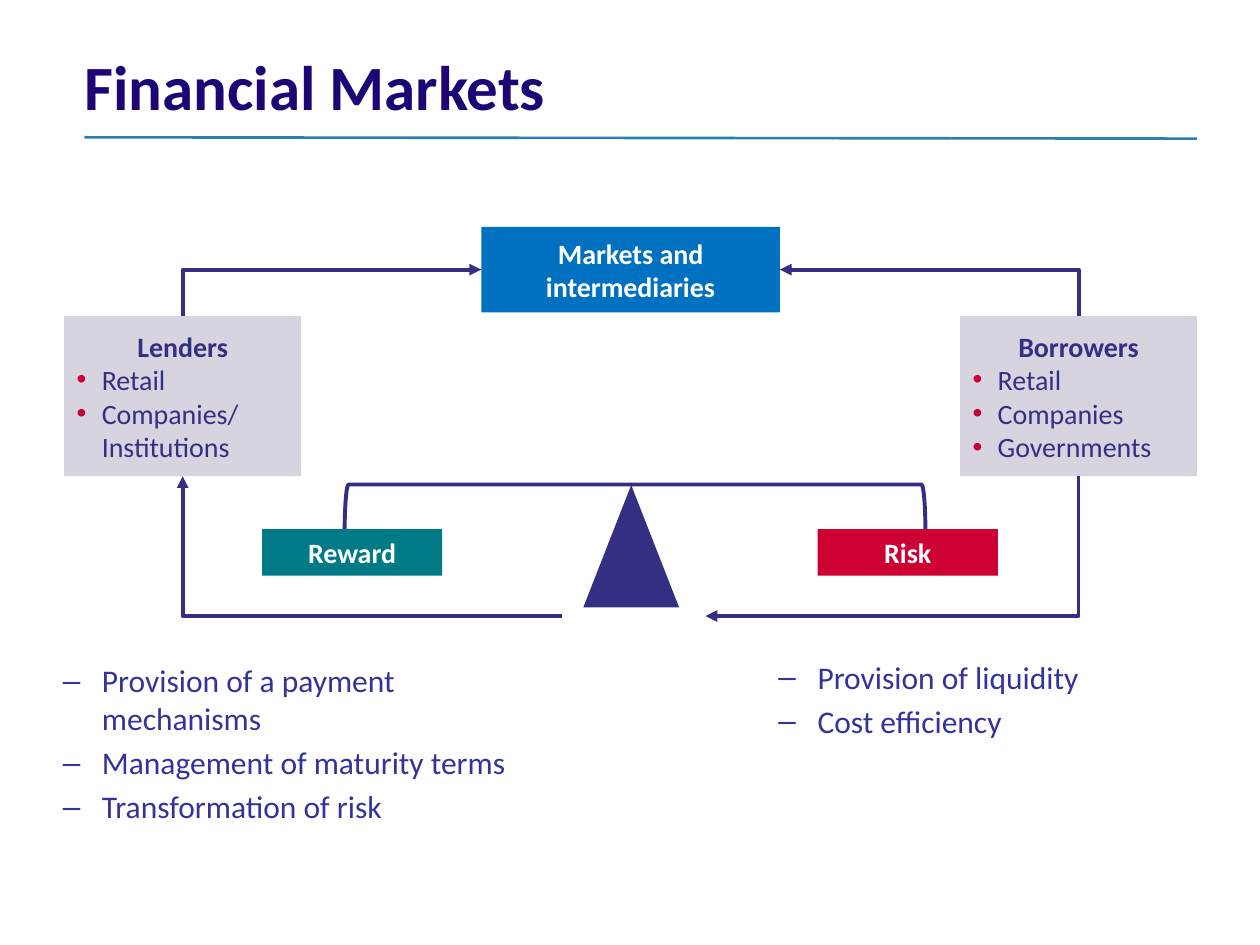
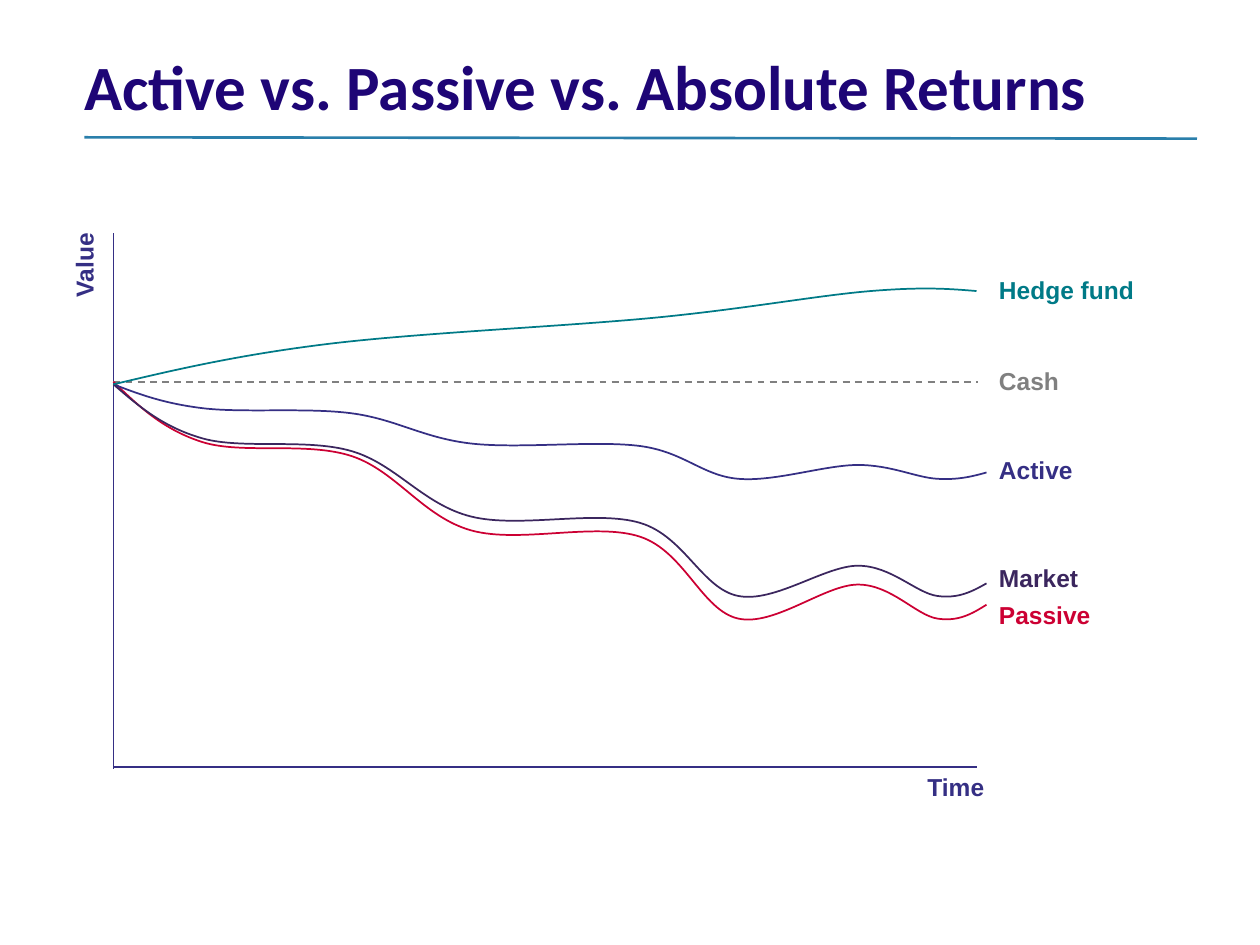
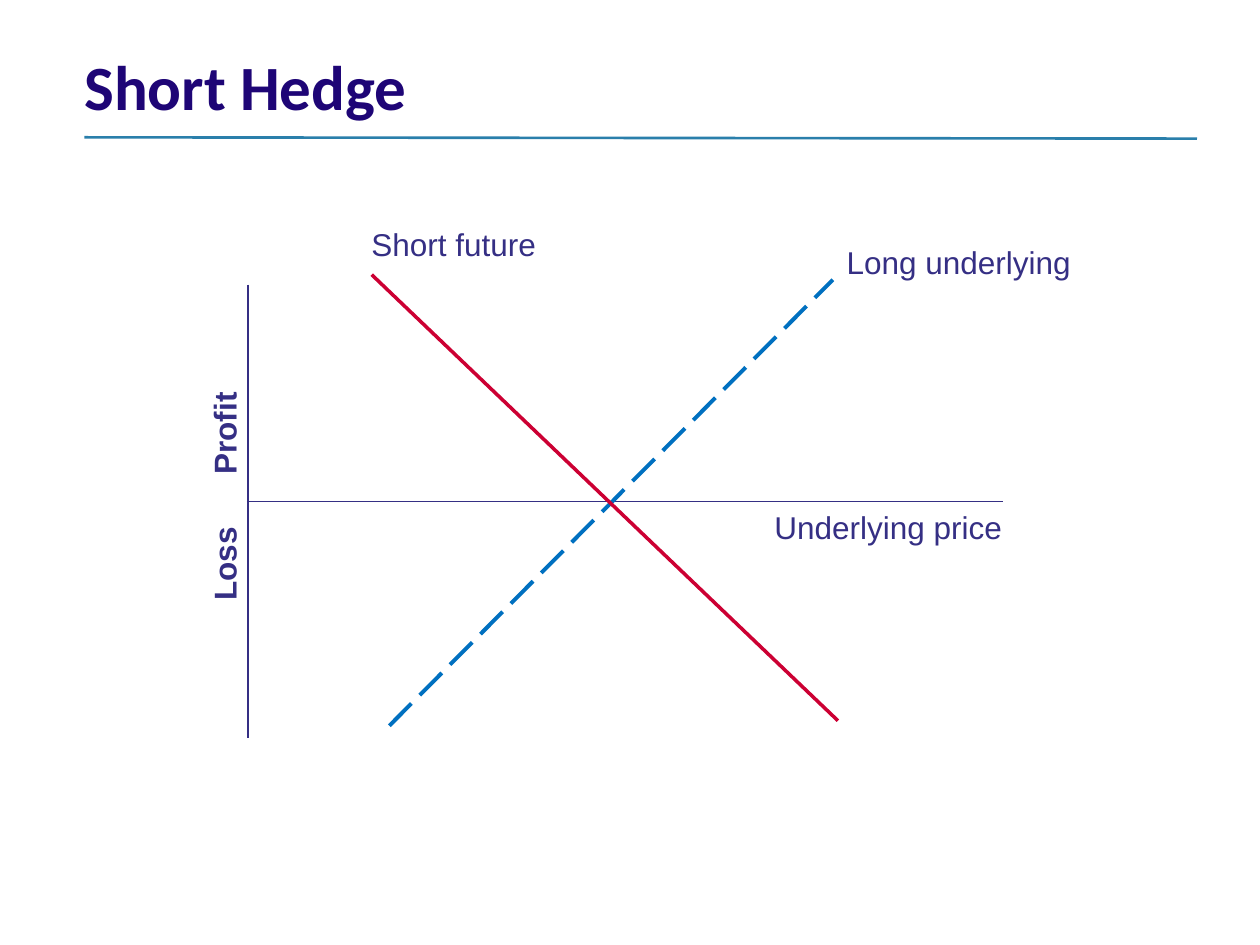
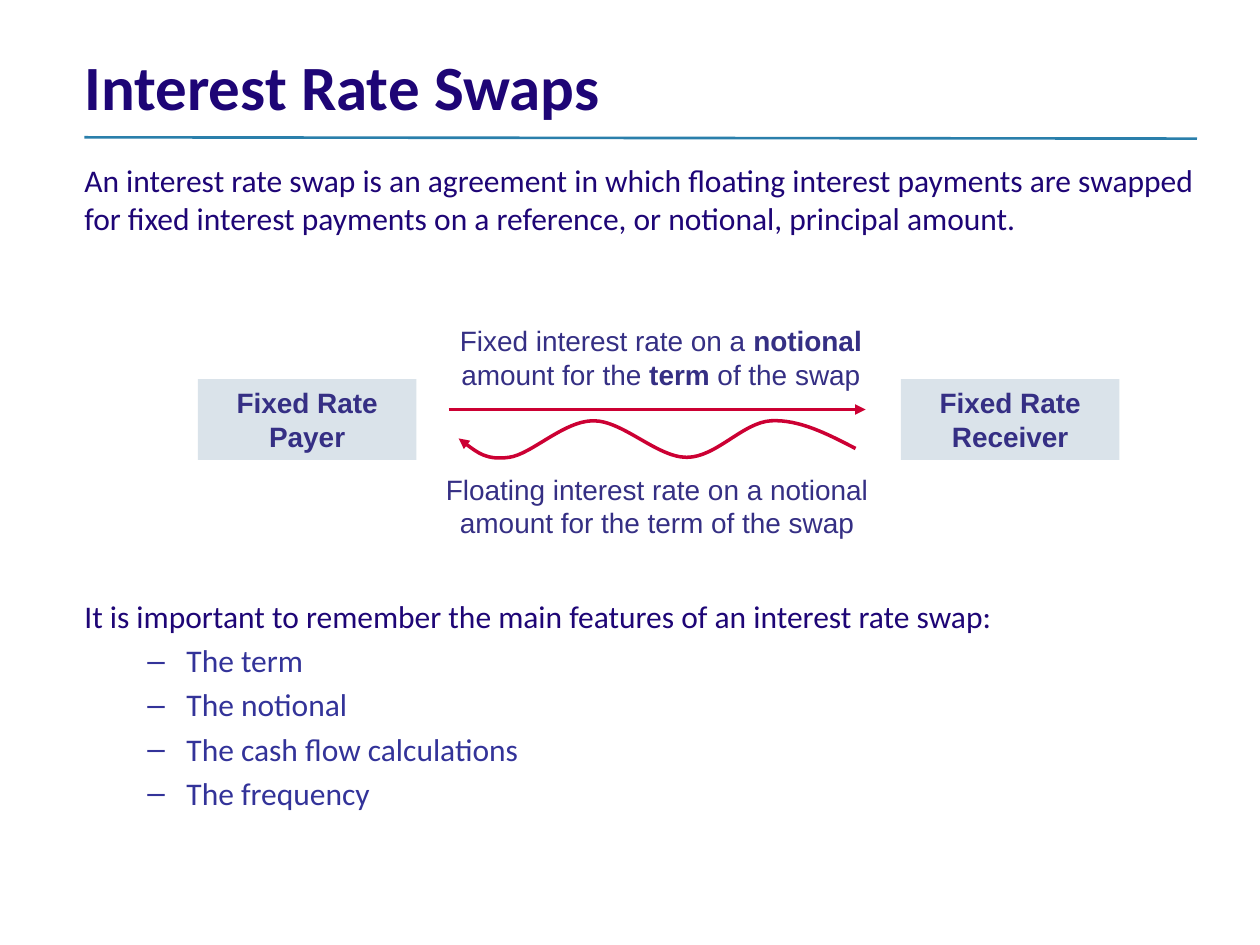
from lxml import etree
from pptx import Presentation
from pptx.dml.color import RGBColor
from pptx.enum.dml import MSO_LINE
from pptx.enum.shapes import MSO_CONNECTOR, MSO_SHAPE
from pptx.enum.text import MSO_ANCHOR, PP_ALIGN
from pptx.oxml.ns import qn
from pptx.util import Inches, Pt

LEFT, CENTER, RIGHT = PP_ALIGN.LEFT, PP_ALIGN.CENTER, PP_ALIGN.RIGHT
MIDDLE = MSO_ANCHOR.MIDDLE
STRAIGHT, ELBOW = MSO_CONNECTOR.STRAIGHT, MSO_CONNECTOR.ELBOW
RECTANGLE, TRIANGLE = MSO_SHAPE.RECTANGLE, MSO_SHAPE.ISOSCELES_TRIANGLE
BRACKET = MSO_SHAPE.RIGHT_BRACKET
DASH, LONG_DASH = MSO_LINE.DASH, MSO_LINE.LONG_DASH
TOP_SITE, LEFT_SITE, BOTTOM_SITE, RIGHT_SITE = range(4)
HEAD, TAIL = "a:headEnd", "a:tailEnd"

NAVY, INDIGO, VIOLET, PLUM = "1E0576", "352F84", "333399", "3B265E"
RED, TEAL, BLUE, GRAY, WHITE = "CC0033", "007A87", "0070C0", "808080", "FFFFFF"
LILAC, MIST, RULE = "D8D4DF", "DAE3EA", "2A7FAB"
CALIBRI, ARIAL = "Calibri", "Arial"

GRID_COLUMNS, GRID_ROWS = 100, 75
CELL = Inches(0.1)
MARGIN = 6.7
DOT_BULLET = ("•", 2, 2, RED)
DOT_CONTINUED = ("", 2, 0, RED)
DASH_BULLET = ("–", 8.1, 3.1, VIOLET)


def cells(*counts):
    """Turn counts of grid cells into lengths."""
    return [round(count * CELL) for count in counts]


def color(value):
    """Turn a hex string into a colour."""
    return RGBColor.from_string(value)


def smooth_controls(points):
    """List the Bezier vertices of a smooth curve through the points."""
    def shifted(index, sign):
        before, here, after = points[index - 1:index + 2]
        return tuple(h + sign * (a - b) / 6 for b, h, a in zip(before, here, after))

    def midpoint(first, second):
        return tuple((a + b) / 2 for a, b in zip(first, second))

    last = len(points) - 1
    vertices = []
    for index in range(last):
        if index == 0:
            incoming = shifted(1, -1)
            outgoing = midpoint(points[0], incoming)
        else:
            outgoing = shifted(index, 1)
            incoming = (midpoint(outgoing, points[last]) if index + 1 == last
                        else shifted(index + 1, -1))
        vertices += [outgoing, incoming, points[index + 1]]
    return vertices


class Deck:
    """Holds the shared style and the current slide."""

    def __init__(self):
        """Start an empty presentation on the grid."""
        self.presentation = Presentation()
        self.presentation.slide_width = GRID_COLUMNS * CELL
        self.presentation.slide_height = GRID_ROWS * CELL
        self.layout = self.presentation.slide_layouts[5]
        self.slide = None

    def add_slide(self, heading):
        """Add a slide with a title, and put the rule on the layout once."""
        is_first = self.slide is None
        self.slide = self.presentation.slides.add_slide(self.layout)
        title = self.slide.shapes.title
        title.left, title.top, title.width, title.height = cells(MARGIN, 2.8, 88.2, 7.9)
        title.text_frame.vertical_anchor = MIDDLE
        self.clear_margins(title)
        self.add_text(title, heading, 36, NAVY, CALIBRI, bold=True)
        if is_first:
            rule = self.line((MARGIN, 10.9), (95, 11), RULE, 1.5)
            rule.element.xpath(".//p:cNvPr")[0].set("id", "20")
            self.layout.shapes.element.append(rule.element)

    def clear_margins(self, shape):
        """Remove the inner margins of a text shape."""
        frame = shape.text_frame
        frame.margin_left = frame.margin_right = frame.margin_top = frame.margin_bottom = 0

    def add_text(self, shape, text, size, ink, font, bold=False, align=LEFT, gap=0, bullet=None):
        """Add one paragraph, with bold parts between asterisks."""
        frame = shape.text_frame
        frame.word_wrap = True
        paragraph = frame.paragraphs[0]
        if paragraph.text:
            paragraph = frame.add_paragraph()
            paragraph.space_before = Pt(gap)
        for index, part in enumerate(text.split("*")):
            run = paragraph.add_run()
            run.text = part
            if index % 2:
                run.font.bold = True
        paragraph.alignment = align
        if bullet:
            self.add_bullet(paragraph, *bullet)
        paragraph.font.name = font
        paragraph.font.size = Pt(size)
        paragraph.font.bold = bold
        paragraph.font.color.rgb = color(ink)

    def add_bullet(self, paragraph, mark, indent, hang, ink):
        """Indent a paragraph and hang a bullet before it."""
        properties = paragraph._p.get_or_add_pPr()
        indent, hang = cells(indent, hang)
        properties.set("marL", str(indent))
        properties.set("indent", str(-hang))
        if mark:
            fill = etree.SubElement(properties, qn("a:buClr"))
            etree.SubElement(fill, qn("a:srgbClr")).set("val", ink)
            etree.SubElement(properties, qn("a:buFont")).set("typeface", ARIAL)
            etree.SubElement(properties, qn("a:buChar")).set("char", mark)

    def stroke(self, shape, ink, weight, dash=None, arrow=None):
        """Format an outline and its arrowhead."""
        shape.line.color.rgb = color(ink)
        shape.line.width = Pt(weight)
        if dash:
            shape.line.dash_style = dash
        if arrow:
            outline = shape.element.xpath("./p:spPr/a:ln")[0]
            etree.SubElement(outline, qn(arrow)).set("type", "triangle")

    def connector(self, kind, start, finish, *style):
        """Add a connector without a shadow."""
        connector = self.slide.shapes.add_connector(kind, *cells(*start, *finish))
        self.stroke(connector, *style)
        etree.SubElement(connector.element.xpath("./p:spPr")[0], qn("a:effectLst"))
        return connector

    def line(self, start, finish, ink, weight, dash=None, arrow=None):
        """Add a straight line."""
        return self.connector(STRAIGHT, start, finish, ink, weight, dash, arrow)

    def elbow(self, start, box, site, arrow, source=None):
        """Run a line sideways, then up or down to a site of a box."""
        connector = self.connector(ELBOW, start, start, INDIGO, 2.25, None, arrow)
        connector.element.xpath(".//a:prstGeom")[0].set("prst", "bentConnector2")
        if source:
            connector.begin_connect(*source)
        connector.end_connect(box, site)

    def curve(self, points, ink, weight, arrow=None):
        """Add a smooth open curve through the points."""
        builder = self.slide.shapes.build_freeform(*cells(*points[0]))
        vertices = [cells(*vertex) for vertex in smooth_controls(points)]
        builder.add_line_segments(vertices, close=False)
        shape = builder.convert_to_shape()
        outline = shape.element.xpath(".//a:path")[0]
        segments = outline.findall(qn("a:lnTo"))
        for index in range(0, len(segments), 3):
            bezier = etree.SubElement(outline, qn("a:cubicBezTo"))
            for segment in segments[index:index + 3]:
                bezier.append(segment[0])
                outline.remove(segment)
        shape.fill.background()
        shape.shadow.inherit = False
        self.stroke(shape, ink, weight, None, arrow)

    def shape(self, kind, place, fill=None):
        """Add a preset shape, filled or empty, with no outline."""
        shape = self.slide.shapes.add_shape(kind, *cells(*place))
        shape.shadow.inherit = False
        shape.line.fill.background()
        if fill:
            shape.fill.solid()
            shape.fill.fore_color.rgb = color(fill)
        else:
            shape.fill.background()
        return shape

    def box(self, place, fill, text, ink, font):
        """Add a filled box with a bold centred heading."""
        box = self.shape(RECTANGLE, place, fill)
        box.text_frame.vertical_anchor = MIDDLE
        self.add_text(box, text, 16, ink, font, bold=True, align=CENTER)
        return box

    def text_box(self, place, rotation=0):
        """Add an empty text box."""
        text_box = self.slide.shapes.add_textbox(*cells(*place))
        text_box.rotation = rotation
        return text_box

    def label(self, place, text, size, ink=INDIGO, bold=False, align=LEFT, rotation=0):
        """Add a label of one paragraph."""
        text_box = self.text_box(place, rotation)
        self.add_text(text_box, text, size, ink, ARIAL, bold, align)

    def dashed_list(self, text_box, items):
        """Add dashed items to a text box."""
        for item in items:
            self.add_text(text_box, item, 18, VIOLET, CALIBRI, gap=3.6, bullet=DASH_BULLET)


def add_markets(deck):
    """Show how money flows between lenders and borrowers."""
    deck.add_slide("Financial Markets")
    services = deck.text_box((0, 52.5, 44.3, 13.4))
    deck.clear_margins(services)
    deck.dashed_list(services, ("Provision of a payment mechanisms",
                                "Management of maturity terms", "Transformation of risk"))
    deck.dashed_list(deck.text_box((55.8, 51.7, 44.2, 12.7)),
                     ("Provision of liquidity", "Cost efficiency"))

    beam = deck.shape(BRACKET, (48.5, 17.3, 3.8, 46.1))
    beam.rotation = 270
    deck.stroke(beam, INDIGO, 2.25)
    deck.shape(TRIANGLE, (46.3, 38.5, 7.6, 9.7), INDIGO)
    for left, text, fill in ((20.8, "Reward", TEAL), (64.9, "Risk", RED)):
        deck.box((left, 42, 14.3, 3.7), fill, text, WHITE, CALIBRI)

    markets = deck.box((38.2, 18, 23.7, 6.8), BLUE, "Markets and intermediaries", WHITE, CALIBRI)
    parties = []
    for left, heading, items in (
        (5.1, "Lenders", (("Retail", DOT_BULLET), ("Companies/", DOT_BULLET),
                          ("Institutions", DOT_CONTINUED))),
        (76.2, "Borrowers", (("Retail", DOT_BULLET), ("Companies", DOT_BULLET),
                             ("Governments", DOT_BULLET))),
    ):
        party = deck.box((left, 25.1, 18.8, 12.7), LILAC, heading, INDIGO, CALIBRI)
        for item, bullet in items:
            deck.add_text(party, item, 16, INDIGO, CALIBRI, bullet=bullet)
        parties.append(party)
    lenders, borrowers = parties

    deck.elbow((38.2, 21.4), lenders, TOP_SITE, HEAD, (markets, LEFT_SITE))
    deck.elbow((61.9, 21.4), borrowers, TOP_SITE, HEAD, (markets, RIGHT_SITE))
    deck.elbow((44.6, 48.9), lenders, BOTTOM_SITE, TAIL)
    deck.elbow((56, 48.9), borrowers, BOTTOM_SITE, HEAD)


def add_returns(deck):
    """Compare the value of investments over time."""
    deck.add_slide("Active vs. Passive vs. Absolute Returns")
    deck.line((9, 18.5), (9, 61), INDIGO, 1)
    deck.line((9, 60.9), (77.5, 60.9), INDIGO, 1)
    deck.line((9, 30.3), (77.6, 30.3), GRAY, 1, DASH)

    times = (9, 16.1, 27.9, 37.4, 50.8, 58.6, 68.1, 74.4, 78.3)
    for heights, ink in (
        ((30.3, 35.1, 36.2, 42.1, 42.6, 49.1, 46.4, 49.1, 48), RED),
        ((30.5, 32.4, 32.8, 35.2, 35.4, 38, 36.9, 38, 37.5), INDIGO),
        ((30.5, 34.8, 35.8, 41, 41.5, 47.3, 44.9, 47.3, 46.3), PLUM),
    ):
        deck.curve(list(zip(times, heights)), ink, 1)
    deck.curve([(9, 30.5), (26, 27.3), (52.1, 25.2), (69.1, 23.1), (77.5, 23.1)], TEAL, 1)

    for top, text, ink in ((21.3, "Hedge fund", TEAL), (28.6, "Cash", GRAY),
                           (35.6, "Active", INDIGO), (44.2, "Market", PLUM),
                           (47.1, "Passive", RED)):
        deck.label((78.3, top, 16.5, 3.4), text, 14, ink, bold=True)
    deck.label((0.8, 21.7, 11.8, 3.4), "Value", 14, bold=True, align=RIGHT, rotation=270)
    deck.label((67.3, 60.8, 11.8, 3.4), "Time", 14, bold=True, align=RIGHT)


def add_hedge(deck):
    """Plot a short future against a long underlying."""
    deck.add_slide("Short Hedge")
    deck.line((19.7, 22.6), (19.7, 58.6), INDIGO, 1)
    deck.line((19.6, 39.8), (79.6, 39.8), INDIGO, 1)
    deck.line((30.9, 57.6), (66.1, 22.2), BLUE, 2.25, LONG_DASH)
    deck.line((29.5, 21.8), (66.5, 57.2), RED, 2)
    deck.label((4.1, 37.4, 27.4, 4), "Loss\tProfit", 18, bold=True, align=CENTER, rotation=270)
    deck.label((58.4, 39.8, 22.1, 4), "Underlying price", 18, align=RIGHT)
    deck.label((66.2, 18.8, 26.2, 4), "Long underlying", 18)
    deck.label((28.5, 17.4, 22.6, 4), "Short future", 18)


def add_swaps(deck):
    """Explain the two legs of an interest rate swap."""
    deck.add_slide("Interest Rate Swaps")
    introduction = deck.text_box((MARGIN, 12.8, 90, 6.2))
    features = deck.text_box((MARGIN, 47.4, 90, 17.2))
    for text_box, text in (
        (introduction, "An interest rate swap is an agreement in which floating interest "
                       "payments are swapped for fixed interest payments on a reference, "
                       "or notional, principal amount."),
        (features, "It is important to remember the main features of an interest rate swap:"),
    ):
        deck.clear_margins(text_box)
        deck.add_text(text_box, text, 18, NAVY, CALIBRI)
    deck.dashed_list(features, ("The term", "The notional",
                                "The cash flow calculations", "The frequency"))

    for left, text in ((15.7, "Fixed Rate Payer"), (71.5, "Fixed Rate Receiver")):
        deck.box((left, 30.1, 17.35, 6.4), MIST, text, INDIGO, ARIAL)
    deck.line((35.6, 32.5), (68.7, 32.5), RED, 2, arrow=TAIL)
    deck.curve([(67.9, 35.6), (61.2, 33.4), (54.5, 36.3), (47.1, 33.4),
                (40.4, 36.3), (36.4, 34.8)], RED, 2, TAIL)
    deck.label((32, 25.2, 40.9, 6.4), "Fixed interest rate on a *notional* amount for "
               "the *term* of the swap", 16, align=CENTER)
    deck.label((30.7, 37, 42.9, 6.4), "Floating interest rate on a notional amount for "
               "the term of the swap", 16, align=CENTER)


def main():
    """Build the four slides and save them."""
    deck = Deck()
    for add_topic in (add_markets, add_returns, add_hedge, add_swaps):
        add_topic(deck)
    deck.presentation.save("out.pptx")


if __name__ == "__main__":
    main()
